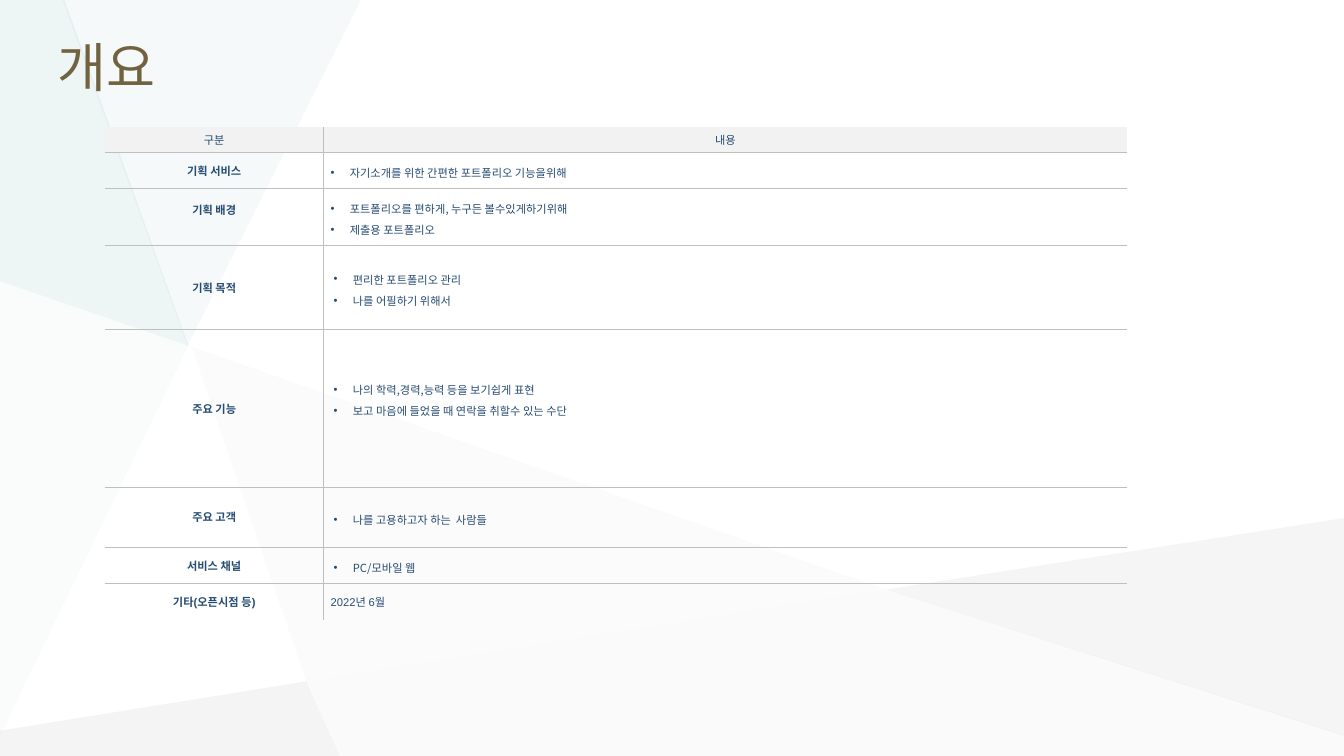
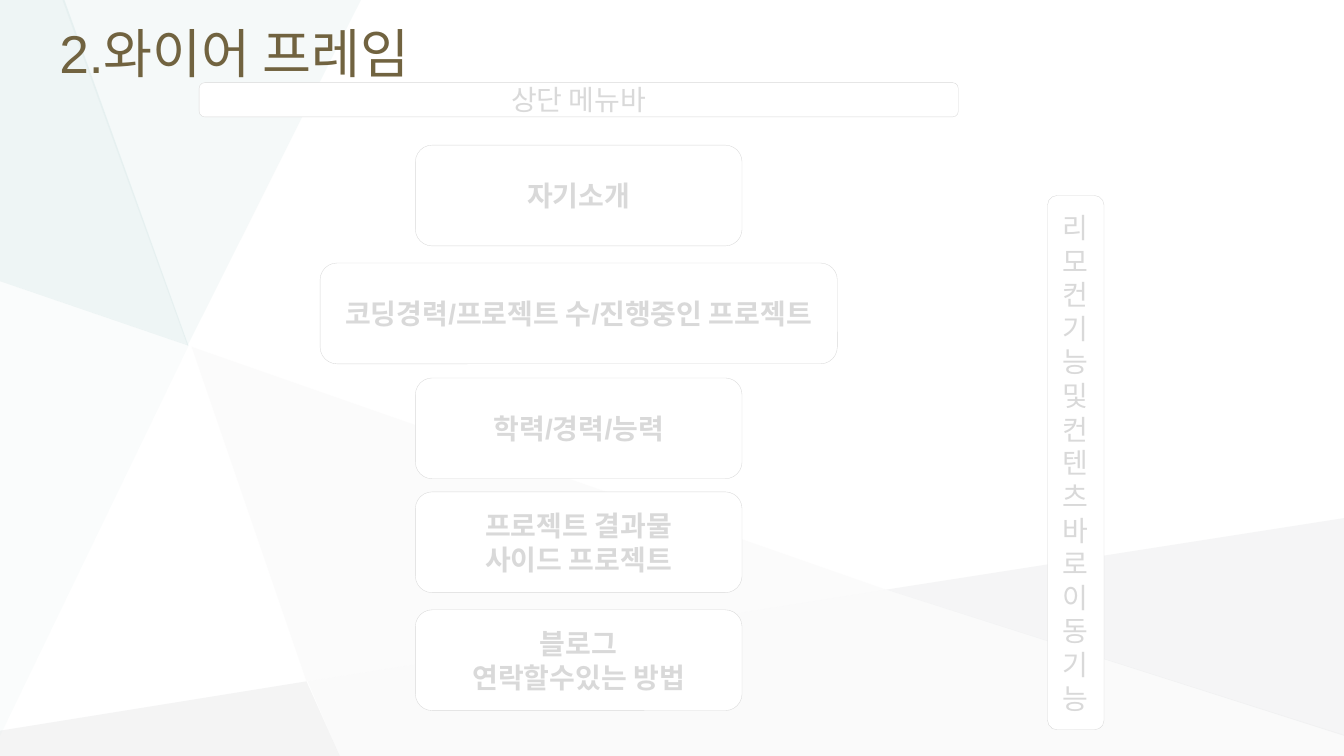
from dataclasses import dataclass

from lxml import etree
from pptx import Presentation
from pptx.dml.color import RGBColor
from pptx.enum.shapes import MSO_SHAPE
from pptx.enum.text import MSO_ANCHOR, PP_ALIGN
from pptx.oxml.ns import qn
from pptx.util import Inches, Pt

ROUNDED = MSO_SHAPE.ROUNDED_RECTANGLE
MIDDLE = MSO_ANCHOR.MIDDLE
LEFT, CENTER, JUSTIFY = PP_ALIGN.LEFT, PP_ALIGN.CENTER, PP_ALIGN.JUSTIFY
NO_GRID_STYLE = "{2D5ABB26-0587-4C30-8999-92F81FD0307C}"


@dataclass(frozen=True)
class Theme:
    title: str = "716340"
    table_text: str = "264C72"
    header_fill: str = "F2F2F2"
    grid: str = "BFBFBF"
    frame: str = "D9D9D9"
    white: str = "FFFFFF"
    latin: str = "Arial"
    korean: str = "Noto Sans CJK KR"
    title_size: float = 38
    frame_size: float = 20
    table_size: float = 8
    hairline: float = 0.25


THEME = Theme()

FACETS = [
    ("F3F2F2", 26, [(1.9, 3.44), (3.04, 6.76), (8.79, 5.85)]),
    ("B6B8BA", 15, [(3.04, 6.76), (0, 7.25), (0, 7.5), (3.37, 7.5)]),
    ("E0EDED", 31, [(3.58, 0), (0.62, 0), (1.86, 3.43)]),
    ("C6C8CA", 17, [(13.33, 5.14), (8.79, 5.85), (13.33, 7.3)]),
    ("B6B8BA", 6, [(8.79, 5.85), (3.05, 6.76), (3.37, 7.5), (13.33, 7.5), (13.33, 7.29)]),
    ("C1DBDB", 27, [(0.64, 0), (0, 0), (0, 2.79), (1.87, 3.43)]),
    ("C1DBDB", 8, [(0, 2.79), (0, 7.3), (1.87, 3.43)]),
]

OVERVIEW_TITLE = ("개요", 0.47, 0.14)
WIREFRAME_TITLE = ("2.와이어 프레임", 0.49, 0)

TABLE_LEFT, TABLE_TOP = 1.04, 1.26
COLUMN_WIDTHS = (2.17, 7.97)
HEADER = ("구분", "내용")
HEADER_HEIGHT = 0.25
TIGHT, LOOSE = (0.07, 0.04), (0.1, 0.05)
OVERVIEW_ROWS = [
    dict(label="기획 서비스", height=0.36, inset=TIGHT,
         items=["자기소개를 위한 간편한 포트폴리오 기능을위해"]),
    dict(label="기획 배경", height=0.56, inset=TIGHT, label_lift=0.14,
         items=["포트폴리오를 편하게, 누구든 볼수있게하기위해", "제출용 포트폴리오"]),
    dict(label="기획 목적", height=0.84, inset=LOOSE,
         items=["편리한 포트폴리오 관리", "나를 어필하기 위해서"]),
    dict(label="주요 기능", height=1.56, inset=LOOSE, item_lift=0.21,
         items=["나의 학력,경력,능력 등을 보기쉽게 표현",
                "보고 마음에 들었을 때 연락을 취할수 있는 수단"]),
    dict(label="주요 고객", height=0.6, inset=LOOSE,
         items=["나를 고용하고자 하는  사람들"]),
    dict(label="서비스 채널", height=0.36, inset=LOOSE, items=["PC/모바일 웹"]),
    dict(label="기타(오픈시점 등)", height=0.36, inset=TIGHT, plain=True,
         items=["2022년 6월"]),
]

CONTENT_CENTER, REMOTE_CENTER = 5.74, 10.67
WIREFRAME_BOXES = [
    (["상단 메뉴바"], CONTENT_CENTER, 0.82, 7.53, 0.34, False),
    (["자기소개"], CONTENT_CENTER, 1.44, 3.24, 1, True),
    (["코딩경력/프로젝트 수/진행중인 프로젝트"], CONTENT_CENTER, 2.61, 5.13, 1, True),
    (["학력/경력/능력"], CONTENT_CENTER, 3.75, 3.24, 1, True),
    (["프로젝트 결과물", "사이드 프로젝트"], CONTENT_CENTER, 4.88, 3.24, 1, True),
    (["블로그", "연락할수있는 방법"], CONTENT_CENTER, 6.05, 3.24, 1, True),
    (["리모컨기능 및 컨텐츠 바로이동기능"], REMOTE_CENTER, 1.94, 0.56, 5.3, False),
]


def rgb(color):
    return RGBColor.from_string(color)


def add_bullet(para):
    properties = para._p.get_or_add_pPr()
    properties.set("marL", str(Inches(0.19)))
    properties.set("indent", str(-Inches(0.19)))
    etree.SubElement(properties, qn("a:buFont")).set("typeface", THEME.latin)
    etree.SubElement(properties, qn("a:buChar")).set("char", "•")


def write_text(frame, lines, *, size, color, font=THEME.latin, bold=False,
               align=LEFT, spacing=None, bullet=False):
    frame.word_wrap = True
    for index, line in enumerate(lines):
        para = frame.paragraphs[0] if index == 0 else frame.add_paragraph()
        para.alignment = align
        if spacing:
            para.line_spacing = spacing
        if bullet:
            add_bullet(para)
        span = para.add_run()
        span.text = line
        span.font.size = Pt(size)
        span.font.bold = bold
        span.font.name = font
        span.font.color.rgb = rgb(color)
        east_asian = etree.SubElement(span._r.get_or_add_rPr(), qn("a:ea"))
        east_asian.set("typeface", THEME.korean)


def add_facets(page, layout):
    for holder in list(layout.placeholders):
        holder.element.getparent().remove(holder.element)
    for color, opacity, points in FACETS:
        start, *rest = [(Inches(x), Inches(y)) for x, y in points]
        builder = page.shapes.build_freeform(*start, scale=1.0)
        builder.add_line_segments(rest, close=True)
        facet = builder.convert_to_shape()
        facet.shadow.inherit = False
        facet.line.fill.background()
        facet.fill.solid()
        facet.fill.fore_color.rgb = rgb(color)
        solid = next(facet.element.iter(qn("a:srgbClr")))
        etree.SubElement(solid, qn("a:alpha")).set("val", str(opacity * 1000))
    for facet in list(page.shapes):
        layout.element.cSld.spTree.append(facet.element)


def add_title(page, text, left, top):
    box = page.shapes.add_textbox(Inches(left), Inches(top), Inches(12.36), Inches(1.03))
    box.text_frame.vertical_anchor = MIDDLE
    write_text(box.text_frame, [text], size=THEME.title_size, color=THEME.title)


def set_borders(cell, sides):
    properties = cell._tc.get_or_add_tcPr()
    for side in ("L", "R", "T", "B"):
        if side in sides:
            border = etree.SubElement(properties, qn(f"a:ln{side}"))
            border.set("w", str(Pt(THEME.hairline)))
            fill = etree.SubElement(border, qn("a:solidFill"))
            etree.SubElement(fill, qn("a:srgbClr")).set("val", THEME.grid)


def fill_cell(cell, lines, sides, inset=TIGHT, lift=0, fill=None, **style):
    across, down = inset
    cell.margin_left = cell.margin_right = Inches(across)
    cell.margin_top = Inches(down)
    cell.margin_bottom = Inches(down + lift)
    cell.vertical_anchor = MIDDLE
    set_borders(cell, sides)
    if fill:
        cell.fill.solid()
        cell.fill.fore_color.rgb = rgb(fill)
    else:
        cell.fill.background()
    write_text(cell.text_frame, lines, size=THEME.table_size,
               color=THEME.table_text, **style)


def add_overview_table(page):
    heights = [HEADER_HEIGHT] + [row["height"] for row in OVERVIEW_ROWS]
    table = page.shapes.add_table(
        len(heights), len(COLUMN_WIDTHS), Inches(TABLE_LEFT), Inches(TABLE_TOP),
        Inches(sum(COLUMN_WIDTHS)), Inches(sum(heights))).table
    table.first_row = table.horz_banding = False
    next(table._tbl.iter(qn("a:tableStyleId"))).text = NO_GRID_STYLE
    for column, width in zip(table.columns, COLUMN_WIDTHS):
        column.width = Inches(width)
    for row, height in zip(table.rows, heights):
        row.height = Inches(height)

    for index, text in enumerate(HEADER):
        fill_cell(table.cell(0, index), [text], "RB" if index == 0 else "LB",
                  fill=THEME.header_fill, align=CENTER)
    for index, row in enumerate(OVERVIEW_ROWS, start=1):
        edges = "T" if index == len(OVERVIEW_ROWS) else "TB"
        fill_cell(table.cell(index, 0), [row["label"]], edges + "R",
                  lift=row.get("label_lift", 0), bold=True, align=CENTER)
        if row.get("plain"):
            style = dict(align=LEFT)
        else:
            style = dict(align=JUSTIFY, font=THEME.korean, spacing=1.3, bullet=True)
        fill_cell(table.cell(index, 1), row["items"], edges + "L", inset=row["inset"],
                  lift=row.get("item_lift", 0), **style)


def add_wireframe_box(page, lines, center, top, width, height, bold):
    box = page.shapes.add_shape(ROUNDED, Inches(center - width / 2), Inches(top),
                                Inches(width), Inches(height))
    box.shadow.inherit = False
    box.fill.solid()
    box.fill.fore_color.rgb = rgb(THEME.white)
    box.line.color.rgb = rgb(THEME.frame)
    box.line.width = Pt(THEME.hairline)
    box.text_frame.vertical_anchor = MIDDLE
    write_text(box.text_frame, lines, size=THEME.frame_size, color=THEME.frame,
               bold=bold, align=CENTER)


def main():
    deck = Presentation()
    deck.slide_width, deck.slide_height = Inches(13.33), Inches(7.5)
    blank = deck.slide_layouts[6]
    overview = deck.slides.add_slide(blank)
    add_facets(overview, blank)
    add_title(overview, *OVERVIEW_TITLE)
    add_overview_table(overview)

    wireframe = deck.slides.add_slide(blank)
    add_title(wireframe, *WIREFRAME_TITLE)
    for box in WIREFRAME_BOXES:
        add_wireframe_box(wireframe, *box)
    deck.save("out.pptx")


if __name__ == "__main__":
    main()
